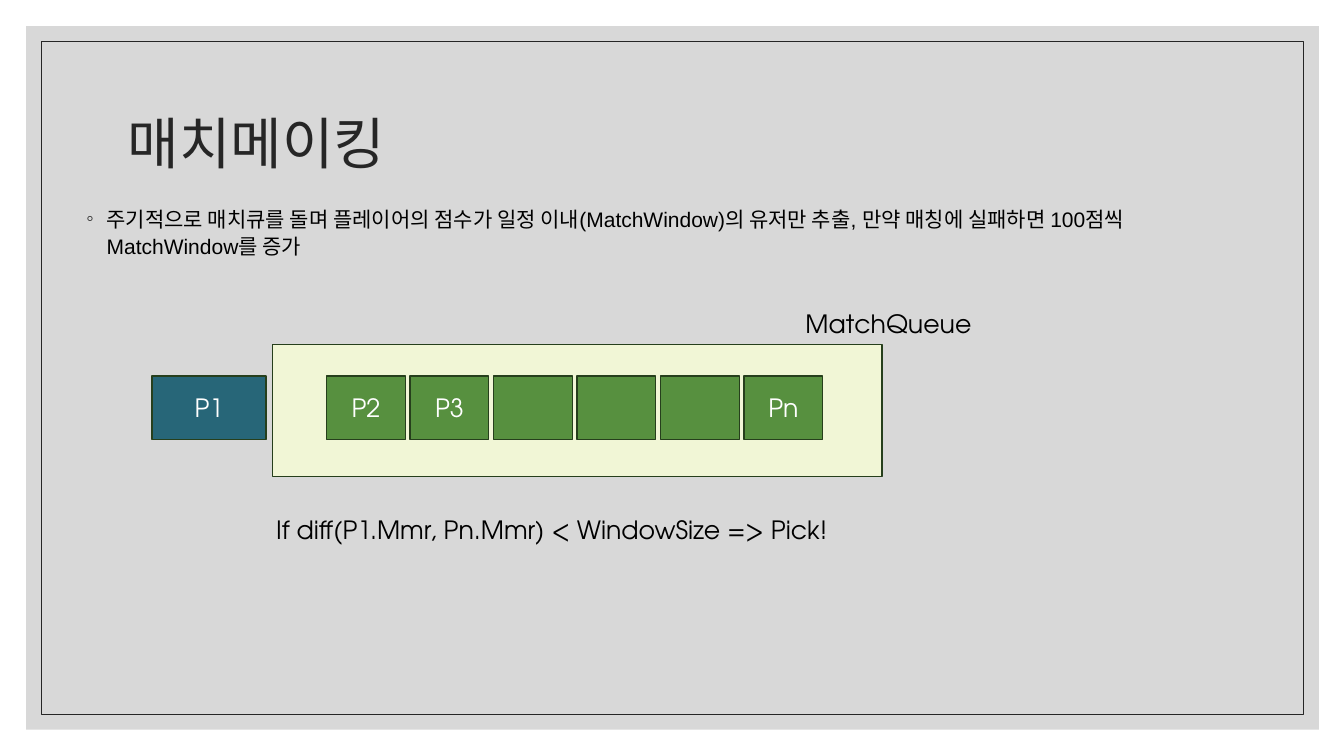
from dataclasses import dataclass

from lxml.etree import SubElement
from pptx import Presentation
from pptx.dml.color import RGBColor as RGB
from pptx.enum.shapes import MSO_SHAPE as Kind
from pptx.enum.text import MSO_ANCHOR as Anchor, PP_ALIGN as Align
from pptx.oxml.ns import qn
from pptx.util import Inches, Pt


@dataclass(frozen=True)
class Theme:
    gray: str = "BFBFBF"
    dark: str = "262626"
    black: str = "000000"
    white: str = "FFFFFF"
    cream: str = "F1F6D6"
    green: str = "57903F"
    teal: str = "276678"
    edge: str = "263F1C"
    sans: str = "Arial"
    geo: str = "TeX Gyre Adventor"
    head: int = 40
    body: int = 15
    label: int = 18


T = Theme()


def style(para, size, face, color):
    font = para.font
    font.size, font.name = Pt(size), face
    font.color.rgb = RGB.from_string(color)


def add_box(slide, area, fill=None, line=None, width=1, text=""):
    box = slide.shapes.add_shape(Kind.RECTANGLE, *map(Inches, area))
    box.shadow.inherit = False
    if fill:
        box.fill.solid()
        box.fill.fore_color.rgb = RGB.from_string(fill)
    else:
        box.fill.background()
    if line:
        box.line.color.rgb = RGB.from_string(line)
        box.line.width = Pt(width)
    else:
        box.line.fill.background()
    if text:
        frame = box.text_frame
        frame.vertical_anchor = Anchor.MIDDLE
        para = frame.paragraphs[0]
        para.text, para.alignment = text, Align.CENTER
        style(para, T.label, T.geo, T.white)
    return box


def add_text(slide, area, text, size=T.label, face=T.geo, color=T.black):
    frame = slide.shapes.add_textbox(*map(Inches, area)).text_frame
    frame.word_wrap = True
    para = frame.paragraphs[0]
    para.text = text
    style(para, size, face, color)
    return frame


def add_alpha(box, share):
    tint = box.fill._xPr.find(".//" + qn("a:srgbClr"))
    SubElement(tint, qn("a:alpha"), val=str(share * 1000))


def add_bullet(para, mark, color):
    props = para._p.get_or_add_pPr()
    props.set("marL", str(Inches(0.2)))
    props.set("indent", str(Inches(-0.2)))
    para.line_spacing = 1.1
    tint = SubElement(props, qn("a:buClr"))
    SubElement(tint, qn("a:srgbClr"), val=color)
    SubElement(props, qn("a:buFont"), typeface=T.sans)
    SubElement(props, qn("a:buChar"), char=mark)


def add_back(slide):
    panel = add_box(slide, (0.26, 0.26, 12.82, 6.98), T.gray)
    add_alpha(panel, 60)
    add_box(slide, (0.41, 0.41, 12.52, 6.68), line=T.dark, width=0.5)


def add_title(slide, text):
    frame = add_text(slide, (1.17, 0.7, 11, 1.5), text, T.head, T.sans, T.dark)
    frame.vertical_anchor = Anchor.MIDDLE
    frame.paragraphs[0].line_spacing = 0.9


def add_point(slide, text):
    frame = add_text(slide, (0.76, 1.97, 11, 4.21), "")
    para = frame.paragraphs[0]
    add_bullet(para, "◦", T.dark)
    para.text = text
    style(para, T.body, T.sans, T.black)


def add_queue(slide, names):
    top, high, left, step = 3.73, 0.63, 3.24, 0.828
    add_box(slide, (2.7, 3.42, 6.05, 1.31), T.cream, T.edge)
    for i, name in enumerate(names):
        area = (left + i * step, top, 0.78, high)
        add_box(slide, area, T.green, T.edge, text=name)
    add_text(slide, (7.89, 3.01, 1.98, 0.4), "MatchQueue")
    add_box(slide, (1.51, top, 1.13, high), T.teal, T.edge, text="P1")


def main():
    deck = Presentation()
    deck.slide_width, deck.slide_height = Inches(13.33), Inches(7.5)
    slide = deck.slides.add_slide(deck.slide_layouts[6])
    add_back(slide)
    add_title(slide, "매치메이킹")
    add_point(
        slide,
        "주기적으로 매치큐를 돌며 플레이어의 점수가 일정 이내(MatchWindow)의 유저만 추출, "
        "만약 매칭에 실패하면 100점씩 MatchWindow를 증가",
    )
    add_queue(slide, ["P2", "P3", "", "", "", "Pn"])
    add_text(slide, (2.64, 5.05, 6.11, 0.4),
             "If diff(P1.Mmr, Pn.Mmr) < WindowSize => Pick!")
    deck.save("out.pptx")


if __name__ == "__main__":
    main()
